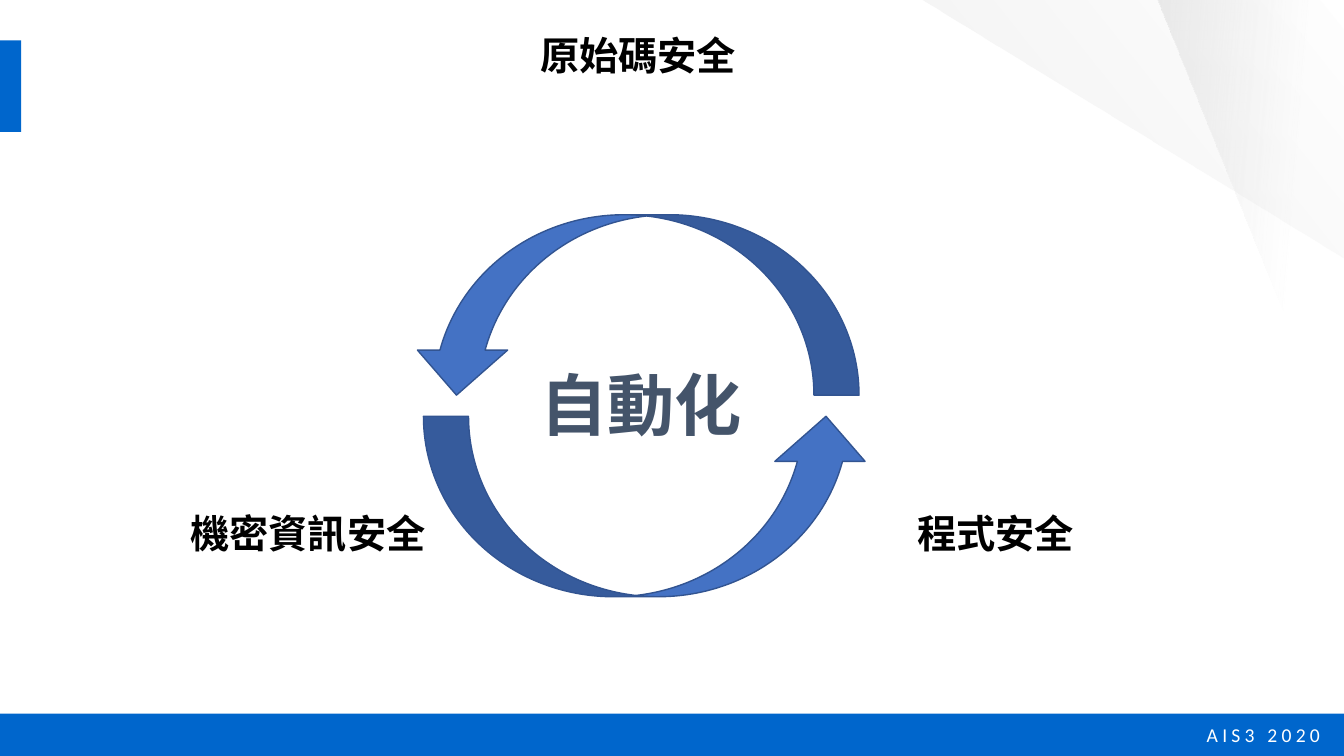
"""Build the automation cycle slide."""
from math import cos, radians, sin

from lxml.etree import SubElement
from pptx import Presentation
from pptx.dml.color import RGBColor as RGB
from pptx.enum.shapes import MSO_SHAPE as SHAPE
from pptx.enum.text import MSO_AUTO_SIZE as AUTO
from pptx.oxml.ns import qn
from pptx.util import Inches, Pt

COLORS = {"bar": "0066CC", "beam": "D9D9D9", "footer": "FFFFFF", "label": "000000",
          "center": "44546A", "arrow": "4472C4", "edge": "325491"}


def rotate(x, y, degrees):
    """Turn a point clockwise about the origin."""
    a = radians(degrees)
    return x * cos(a) - y * sin(a), x * sin(a) + y * cos(a)


class SlideBuilder:
    """Hold the style and the current slide."""

    cjk = "Noto Sans CJK SC"

    def __init__(self, prs):
        """Add a blank slide."""
        self.s = prs.slides.add_slide(prs.slide_layouts[6])

    def color(self, name):
        """Look up a colour."""
        return RGB.from_string(COLORS[name])

    def shape(self, kind, box, fill, line=None, rotation=0):
        """Add a filled preset shape."""
        sp = self.s.shapes.add_shape(kind, *map(Inches, box))
        sp.shadow.inherit = False
        sp.rotation = rotation
        sp.fill.solid()
        sp.fill.fore_color.rgb = self.color(fill)
        if line:
            sp.line.color.rgb = self.color(line)
            sp.line.width = Pt(1)
        else:
            sp.line.fill.background()

    def beam(self, points, rotation, stops):
        """Add a rotated polygon whose gradient fades along its own axis."""
        flat = [rotate(x, y, -rotation) for x, y in points]
        fb = self.s.shapes.build_freeform(*map(Inches, flat[0]), scale=1.0)
        fb.add_line_segments([tuple(map(Inches, p)) for p in flat[1:]])
        sp = fb.convert_to_shape()
        cx, cy = rotate(sp.left + sp.width / 2, sp.top + sp.height / 2, rotation)
        sp.left, sp.top = round(cx - sp.width / 2), round(cy - sp.height / 2)
        sp.rotation = rotation
        sp.shadow.inherit = False
        sp.line.fill.background()
        sp.fill.gradient()
        sp.fill.gradient_angle = 90
        for stop, (position, _) in zip(sp.fill.gradient_stops, stops):
            stop.position = position
            stop.color.rgb = self.color("beam")
        for clr, (_, opacity) in zip(sp._element.iter(qn("a:srgbClr")), stops):
            SubElement(clr, qn("a:alpha"), val=str(round(opacity * 100000)))

    def text(self, words, box, size, color, font=cjk, bold=True, wrap=True, spacing=0):
        """Add a one-line text box."""
        tf = self.s.shapes.add_textbox(*map(Inches, box)).text_frame
        tf.word_wrap = wrap
        tf.auto_size = AUTO.SHAPE_TO_FIT_TEXT
        r = tf.paragraphs[0].add_run()
        r.text = words
        r.font.color.rgb = self.color(color)
        for key, value in {"size": Pt(size), "name": font, "bold": bold}.items():
            setattr(r.font, key, value)
        rPr = r._r.get_or_add_rPr()
        SubElement(rPr, qn("a:ea"), typeface=font)
        if spacing:
            rPr.set("spc", str(spacing * 100))


def main():
    """Draw and save the slide."""
    prs = Presentation()
    prs.slide_width, prs.slide_height = Inches(13.33), Inches(7.5)
    b = SlideBuilder(prs)

    b.shape(SHAPE.RECTANGLE, (0, 7.08, 13.33, 0.42), "bar")
    b.beam([(11.43, -0.13), (13.53, -0.13), (13.53, 5.09)], 274.7, [(0.41, 0), (1, 0.66)])
    b.beam([(8.91, -0.14), (12.97, -0.14), (13.54, 0.57), (13.54, 2.69)], 231.3,
           [(0, 0), (1, 0.38)])
    b.shape(SHAPE.RECTANGLE, (0, 0.4, 0.21, 0.91), "bar")
    b.text("AIS3 2020", (11.87, 7.12, 1.38, 0.34), 14, "footer",
           font="Calibri", bold=False, wrap=False, spacing=3)

    for words, box in (("原始碼安全", (5.26, 0.26, 2.47, 0.57)),
                       ("機密資訊安全", (1.79, 5, 2.98, 0.57)),
                       ("程式安全", (9, 5, 2.9, 0.57))):
        b.text(words, box, 28, "label")
    b.text("自動化", (5.26, 3.56, 2.63, 0.91), 48, "center")

    for left, top, rotation in ((4.2, 4.13, 0), (4.08, 2.13, 180)):
        b.shape(SHAPE.CURVED_UP_ARROW, (left, top, 4.44, 1.79), "arrow", "edge", rotation)

    prs.save("out.pptx")


if __name__ == "__main__":
    main()
